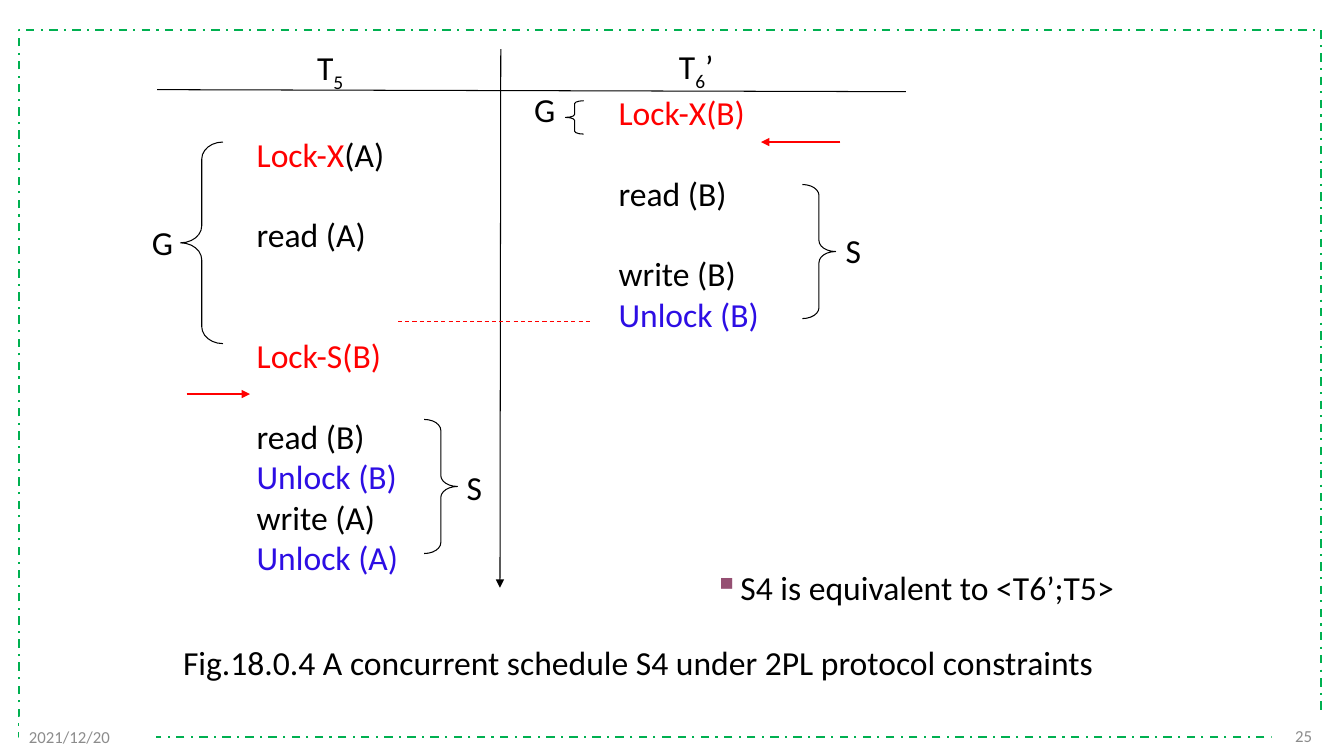
from dataclasses import dataclass
from typing import Optional

from lxml import etree
from pptx import Presentation
from pptx import util as u
from pptx.dml.color import RGBColor
from pptx.enum import dml, shapes, text
from pptx.oxml.ns import qn

BLACK, RED, BLUE, GREEN = "000000", "FF0000", "2D0EE4", "00B050"
WHITE, GREY, PURPLE = "FFFFFF", "8C8C8C", "954F72"
LEFT, CENTER, RIGHT = text.PP_ALIGN.LEFT, text.PP_ALIGN.CENTER, text.PP_ALIGN.RIGHT
LINE_PITCH = 28.8
HEADING_INDENT = 1.52
BULLET_INDENT = 0.66


@dataclass
class Box:
    left: float
    top: float
    width: float
    height: float

    def lengths(self) -> list:
        return [u.Cm(v) for v in (self.left, self.top, self.width, self.height)]


@dataclass
class Piece:
    words: str
    color: str = BLACK
    baseline: int = 0


@dataclass
class Step:
    pieces: list[Piece]
    idle_lines: int = 0


@dataclass
class Transaction:
    box: Box
    heading: list[Piece]
    steps: list[Step]


@dataclass
class Label:
    words: str
    box: Box
    align: text.PP_ALIGN = LEFT
    bullet: str = ""


@dataclass
class Footer:
    words: str
    box: Box
    align: text.PP_ALIGN


@dataclass
class Brace:
    preset: shapes.MSO_SHAPE
    box: Box
    curl: float


@dataclass
class Rule:
    start: tuple[float, float]
    end: tuple[float, float]
    color: str = BLACK
    width: float = 0.75
    arrow: bool = False
    dash: Optional[dml.MSO_LINE] = None


FRAME = Box(0.48, 0.76, 32.82, 17.81)
FOOTERS = [
    Footer("25", Box(32.05, 18.03, 1.27, 1.02), RIGHT),
    Footer("2021/12/20", Box(0.48, 18.06, 3.45, 1.02), LEFT),
]
TRANSACTIONS = [
    Transaction(
        Box(6.22, 1.07, 5.46, 14.63),
        [Piece("T"), Piece("5", baseline=-25000)],
        [
            Step([Piece("Lock-X", RED), Piece("(A)")], 1),
            Step([Piece("read (A)")], 1),
            Step([Piece("Lock-S(B)", RED)], 2),
            Step([Piece("read (B)")], 1),
            Step([Piece("Unlock (B)", BLUE)]),
            Step([Piece("write (A)")]),
            Step([Piece("Unlock (A)", BLUE)]),
        ],
    ),
    Transaction(
        Box(15.34, 1.04, 5.46, 8.46),
        [Piece("T"), Piece("6", baseline=-25000), Piece("’")],
        [
            Step([Piece("Lock-X(B)", RED)]),
            Step([Piece("read (B)")], 1),
            Step([Piece("write (B)")], 1),
            Step([Piece("Unlock (B)", BLUE)]),
        ],
    ),
]
RULES = [
    Rule((3.96, 2.26), (22.83, 2.31)),
    Rule((12.62, 1.24), (12.6, 14.81), arrow=True),
    Rule((21.18, 3.58), (19.18, 3.58), RED, 1.5, arrow=True),
    Rule((4.7, 9.93), (6.3, 9.93), RED, 1.5, arrow=True),
    Rule((10.03, 8.1), (14.88, 8.1), RED, dash=dml.MSO_LINE.DASH),
]
BRACES = [
    Brace(shapes.MSO_SHAPE.LEFT_BRACE, Box(4.55, 3.58, 1.07, 5.08), 0.4),
    Brace(shapes.MSO_SHAPE.LEFT_BRACE, Box(14.25, 2.54, 0.46, 0.84), 0.16),
    Brace(shapes.MSO_SHAPE.RIGHT_BRACE, Box(10.69, 10.57, 0.84, 3.38), 0.33),
    Brace(shapes.MSO_SHAPE.RIGHT_BRACE, Box(20.22, 4.65, 0.84, 3.38), 0.33),
]
LABELS = [
    Label("G", Box(3.58, 5.46, 1.04, 1.27)),
    Label("G", Box(13.21, 2.11, 1.04, 1.27)),
    Label("S", Box(11.51, 11.63, 0.91, 1.27)),
    Label("S", Box(21.06, 5.66, 0.91, 1.27)),
    Label("S4 is equivalent to <T6’;T5>", Box(17.75, 14.17, 10.8, 1.27), bullet="▪"),
    Label("Fig.18.0.4 A concurrent schedule S4 under 2PL protocol constraints",
          Box(3.12, 16.05, 25.93, 1.27), CENTER),
]


def rgb(value: str) -> RGBColor:
    return RGBColor.from_string(value)


def apply(target, settings: dict) -> None:
    for name, value in settings.items():
        setattr(target, name, value)


def write(paragraph, pieces: list[Piece], size: float = 24) -> None:
    for piece in pieces:
        run = paragraph.add_run()
        run.text = piece.words
        apply(run.font, {"name": "Calibri", "size": u.Pt(size)})
        run.font.color.rgb = rgb(piece.color)
        if piece.baseline:
            run.font._element.set("baseline", str(piece.baseline))


def text_frame(slide, box: Box):
    frame = slide.shapes.add_textbox(*box.lengths()).text_frame
    apply(frame, {"word_wrap": True, "auto_size": text.MSO_AUTO_SIZE.NONE})
    return frame


def outline(line, color: str, width: float, dash: Optional[dml.MSO_LINE] = None) -> None:
    line.color.rgb = rgb(color)
    line.width = u.Pt(width)
    if dash is not None:
        line.dash_style = dash


def draw_shape(slide, preset: shapes.MSO_SHAPE, box: Box):
    shape = slide.shapes.add_shape(preset, *box.lengths())
    shape.shadow.inherit = False
    shape.fill.background()
    return shape


def draw_footer(slide, footer: Footer) -> None:
    shape = draw_shape(slide, shapes.MSO_SHAPE.RECTANGLE, footer.box)
    shape.fill.solid()
    shape.fill.fore_color.rgb = rgb(WHITE)
    shape.line.fill.background()
    shape.text_frame.vertical_anchor = text.MSO_ANCHOR.MIDDLE
    paragraph = shape.text_frame.paragraphs[0]
    paragraph.alignment = footer.align
    write(paragraph, [Piece(footer.words, GREY)], 12)


def draw_transaction(slide, transaction: Transaction) -> None:
    frame = text_frame(slide, transaction.box)
    heading = frame.paragraphs[0]
    heading._p.get_or_add_pPr().set("marL", str(u.Cm(HEADING_INDENT)))
    write(heading, transaction.heading)
    for step in transaction.steps:
        paragraph = frame.add_paragraph()
        paragraph.space_before = u.Pt(step.idle_lines * LINE_PITCH)
        write(paragraph, step.pieces)


def draw_label(slide, label: Label) -> None:
    paragraph = text_frame(slide, label.box).paragraphs[0]
    paragraph.alignment = label.align
    if label.bullet:
        properties = paragraph._p.get_or_add_pPr()
        properties.set("marL", str(u.Cm(BULLET_INDENT)))
        properties.set("indent", str(-u.Cm(BULLET_INDENT)))
        tint = etree.SubElement(properties, qn("a:buClr"))
        etree.SubElement(tint, qn("a:srgbClr"), val=PURPLE)
        etree.SubElement(properties, qn("a:buChar"), char=label.bullet)
    write(paragraph, [Piece(label.words)])


def draw_brace(slide, brace: Brace) -> None:
    shape = draw_shape(slide, brace.preset, brace.box)
    shape.adjustments[0] = brace.curl
    outline(shape.line, BLACK, 0.75)


def draw_rule(slide, rule: Rule) -> None:
    ends = [u.Cm(v) for v in (*rule.start, *rule.end)]
    connector = slide.shapes.add_connector(shapes.MSO_CONNECTOR.STRAIGHT, *ends)
    outline(connector.line, rule.color, rule.width, rule.dash)
    if rule.arrow:
        etree.SubElement(connector.line._get_or_add_ln(), qn("a:tailEnd"), type="triangle")
    etree.SubElement(connector._element.spPr, qn("a:effectLst"))


def main() -> None:
    deck = Presentation()
    apply(deck, {"slide_width": u.Cm(33.87), "slide_height": u.Cm(19.05)})
    slide = deck.slides.add_slide(deck.slide_layouts[6])
    border = draw_shape(slide, shapes.MSO_SHAPE.RECTANGLE, FRAME)
    outline(border.line, GREEN, 1.5, dml.MSO_LINE.DASH_DOT)
    for items, draw in (
        (FOOTERS, draw_footer), (TRANSACTIONS, draw_transaction), (RULES, draw_rule),
        (BRACES, draw_brace), (LABELS, draw_label),
    ):
        for item in items:
            draw(slide, item)
    deck.save("out.pptx")


if __name__ == "__main__":
    main()
